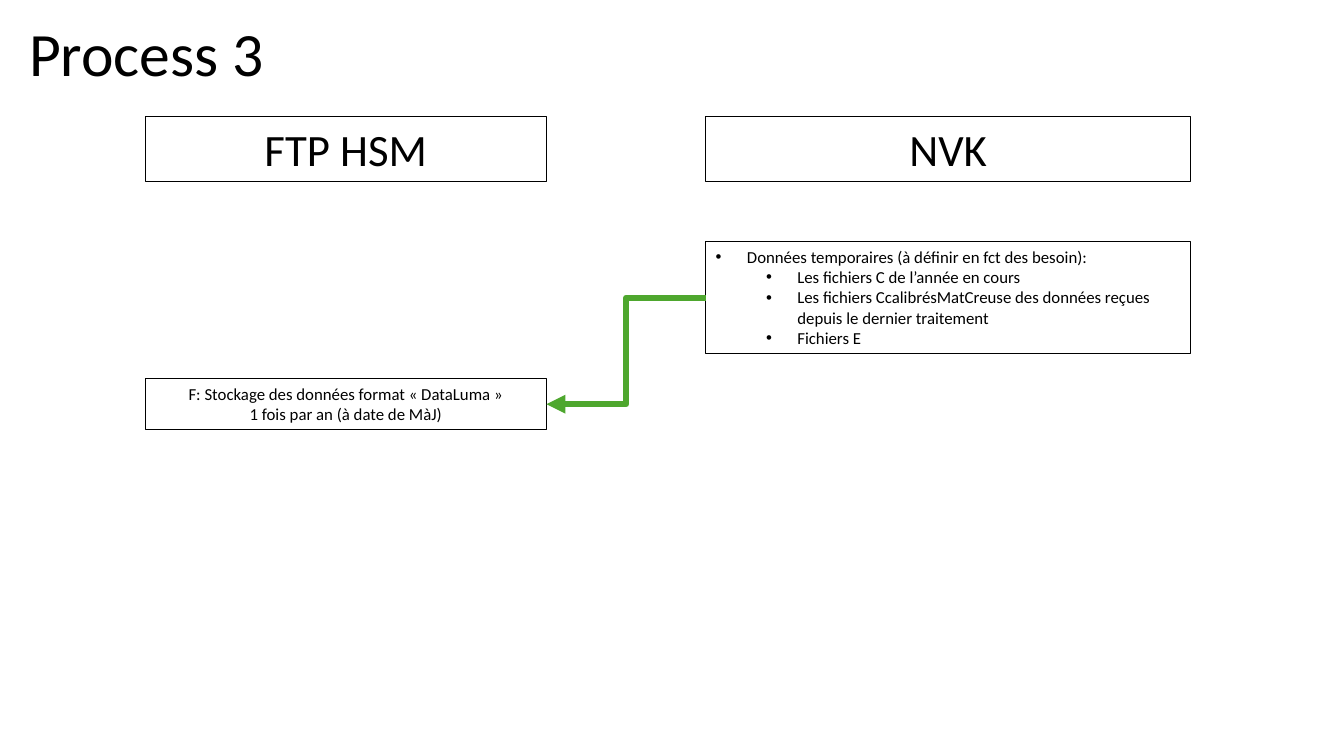
"""Builds the Process 3 slide: temporary data flows from the host to yearly storage."""
from lxml import etree
from pptx import Presentation
from pptx.dml.color import RGBColor
from pptx.enum.shapes import MSO_CONNECTOR, MSO_SHAPE
from pptx.enum.text import MSO_ANCHOR, MSO_AUTO_SIZE, PP_ALIGN
from pptx.oxml.ns import qn
from pptx.util import Inches, Pt

RECTANGLE = MSO_SHAPE.RECTANGLE
ELBOW = MSO_CONNECTOR.ELBOW
TOP, MIDDLE = MSO_ANCHOR.TOP, MSO_ANCHOR.MIDDLE
LEFT, CENTER = PP_ALIGN.LEFT, PP_ALIGN.CENTER
FIT_SHAPE = MSO_AUTO_SIZE.SHAPE_TO_FIT_TEXT
BLACK = RGBColor(0x00, 0x00, 0x00)
GREEN = RGBColor(0x4E, 0xA7, 0x2E)
FONT = "Calibri"

STORAGE_COLUMN = (1.44, 3.98)
HOST_COLUMN = (7, 4.81)
HEADER_ROW = (1.16, 0.64)
DATA_ROW = (2.4, 1.11)
STORAGE_ROW = (3.76, 0.5)
BULLET_HANG = 0.31
LEVEL_STEP = 0.5


def write_lines(box, lines, size, align):
    """Fills a box with one paragraph for each line of text."""
    frame = box.text_frame
    frame.word_wrap = True
    for index, line in enumerate(lines):
        para = frame.add_paragraph() if index else frame.paragraphs[0]
        para.alignment = align
        span = para.add_run()
        span.text = line
        span.font.name = FONT
        span.font.size = Pt(size)
        span.font.color.rgb = BLACK


def add_box(page, column, row, lines, size, align=CENTER):
    """Adds an outlined box where a column and a row meet."""
    (left, width), (top, height) = column, row
    box = page.shapes.add_shape(
        RECTANGLE, Inches(left), Inches(top), Inches(width), Inches(height))
    box.shadow.inherit = False
    box.fill.background()
    box.line.color.rgb = BLACK
    box.line.width = Pt(0.75)
    box.text_frame.vertical_anchor = TOP
    box.text_frame.auto_size = FIT_SHAPE
    write_lines(box, lines, size, align)
    return box


deck = Presentation()
deck.slide_width = Inches(13.33)
deck.slide_height = Inches(7.5)
page = deck.slides.add_slide(deck.slide_layouts[6])

title = page.shapes.add_textbox(
    Inches(0.19), Inches(0.15), Inches(12.97), Inches(0.83))
title.text_frame.vertical_anchor = MIDDLE
write_lines(title, ["Process 3"], 44, LEFT)
title.text_frame.paragraphs[0].line_spacing = 0.9

for column, heading in ((STORAGE_COLUMN, "FTP HSM"), (HOST_COLUMN, "NVK")):
    add_box(page, column, HEADER_ROW, [heading], 32)

data_box = add_box(page, HOST_COLUMN, DATA_ROW, [
    "Données temporaires (à définir en fct des besoin):",
    "Les fichiers C de l’année en cours",
    "Les fichiers CcalibrésMatCreuse des données reçues depuis le dernier traitement",
    "Fichiers E",
], 12, LEFT)
for index, para in enumerate(data_box.text_frame.paragraphs):
    para.level = min(index, 1)
    properties = para._p.get_or_add_pPr()
    properties.set("marL", str(Inches(BULLET_HANG + LEVEL_STEP * para.level)))
    properties.set("indent", str(-Inches(BULLET_HANG)))
    etree.SubElement(properties, qn("a:buFont"), typeface="Arial")
    etree.SubElement(properties, qn("a:buChar"), char="•")

storage_box = add_box(page, STORAGE_COLUMN, STORAGE_ROW, [
    "F: Stockage des données format « DataLuma »",
    "1 fois par an (à date de MàJ)",
], 12)

arrow = page.shapes.add_connector(ELBOW, 0, 0, 0, 0)
arrow.begin_connect(data_box, 1)
arrow.end_connect(storage_box, 3)
arrow.line.color.rgb = GREEN
arrow.line.width = Pt(4.5)
etree.SubElement(arrow.line._get_or_add_ln(), qn("a:tailEnd"), type="triangle")
etree.SubElement(arrow._element.spPr, qn("a:effectLst"))

deck.save("out.pptx")
